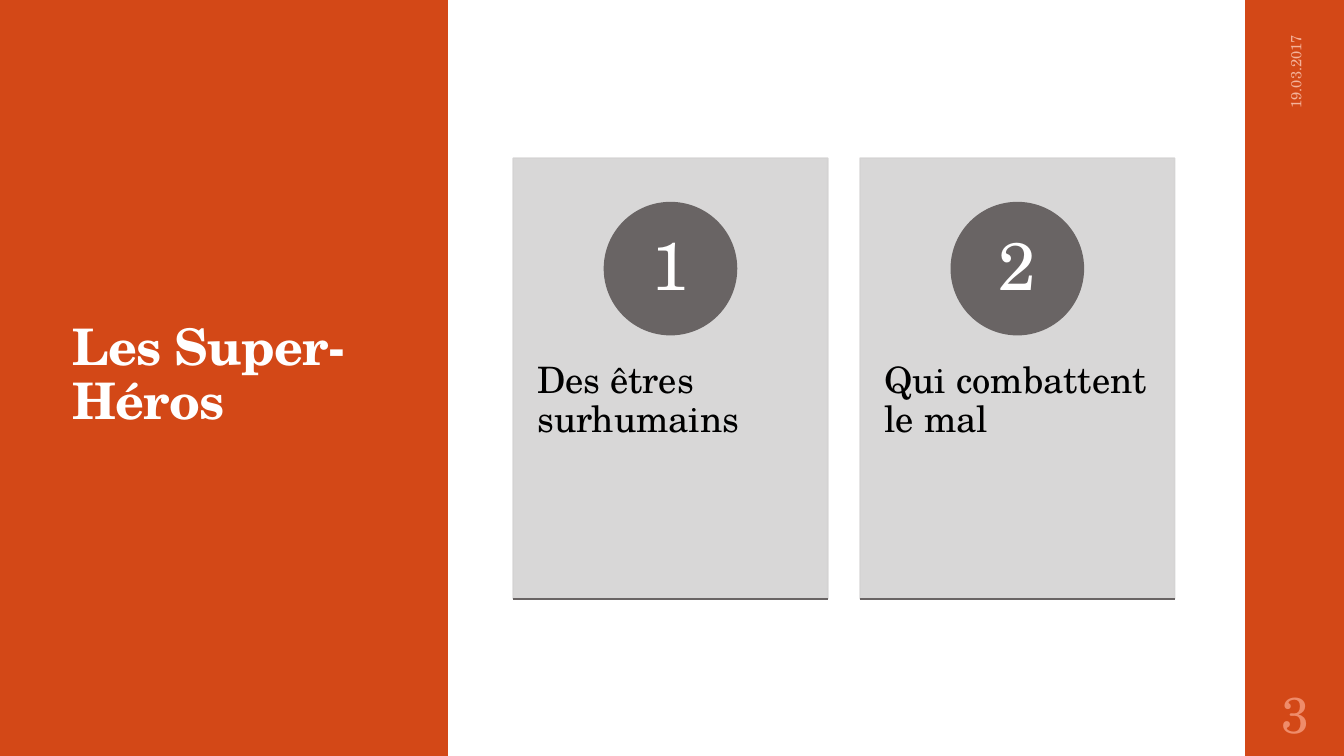
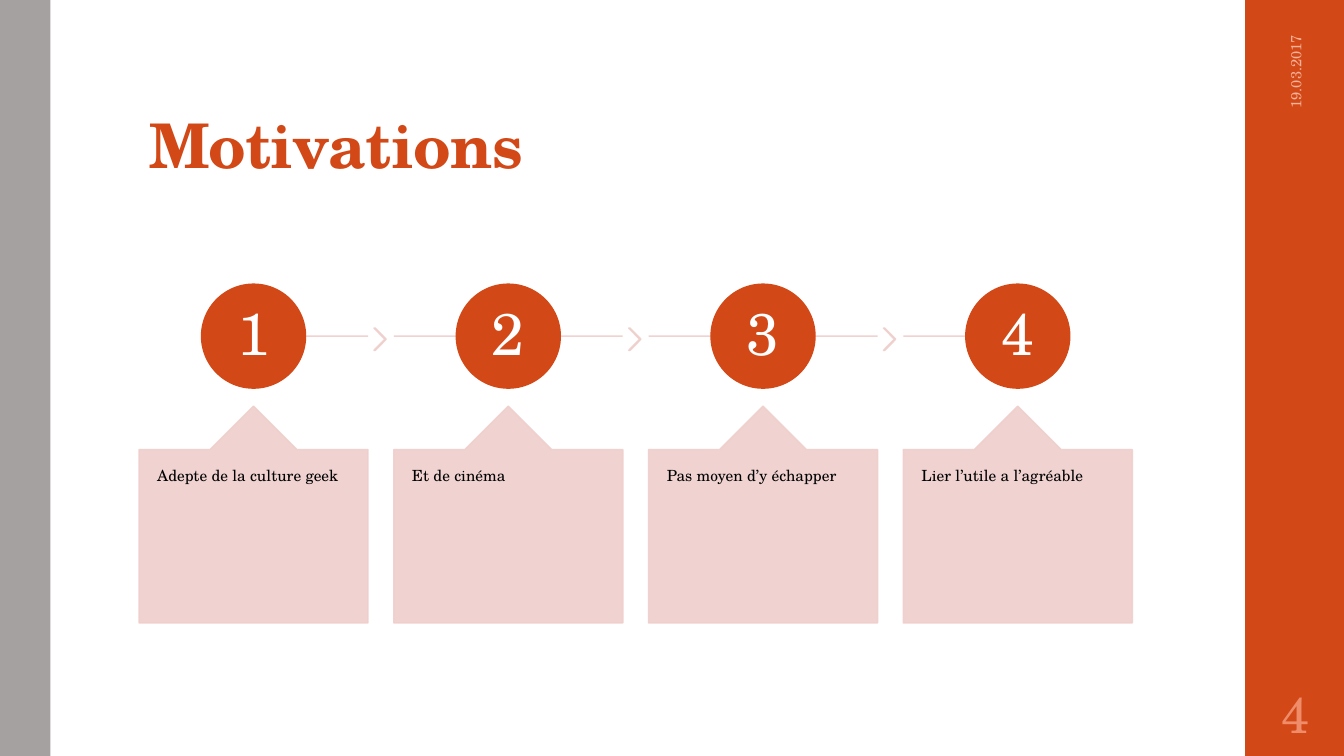
from lxml import etree
from pptx import Presentation
from pptx.dml.color import RGBColor
from pptx.enum.shapes import MSO_CONNECTOR as Connector, MSO_SHAPE as Preset
from pptx.enum.text import MSO_ANCHOR as Anchor, MSO_AUTO_SIZE as AutoSize, PP_ALIGN as Align
from pptx.oxml.ns import qn
from pptx.util import Inches, Pt

WIDTH, HEIGHT = 13.33, 7.5
FONT = "TeX Gyre Schola"
COLORS = {
    "accent": "D34817", "band": "A6A1A1", "card": "D4D3D3", "dark": "696464",
    "step": "EFCFCC", "text": "000000", "white": "FFFFFF",
    "date": "F4B39B", "number": "EF8C6A",
}
SIDE_BAND = (12.35, 0, WIDTH - 12.35, HEIGHT)
TITLE_INSETS = (0.1, 0.03, 0.1, 0.05)
DATE = "19.03.2017"


def rgb(name):
    """Return the named colour."""
    return RGBColor.from_string(COLORS[name])


def fade(shape, opacity):
    """Make every solid colour of a shape partly transparent."""
    for color in shape._element.spPr.iter(qn("a:srgbClr")):
        etree.SubElement(color, qn("a:alpha")).set("val", str(int(opacity * 100000)))


def add_block(page, preset, box, color, opacity=1, outlined=True):
    """Draw a filled preset shape in the given box."""
    shape = page.shapes.add_shape(preset, *map(Inches, box))
    shape.shadow.inherit = False
    shape.fill.solid()
    shape.fill.fore_color.rgb = rgb(color)
    if outlined:
        shape.line.color.rgb = rgb(color)
        shape.line.width = Pt(1.1)
    else:
        shape.line.fill.background()
    if opacity < 1:
        fade(shape, opacity)
    return shape


def add_rule(page, left, right, top, color, opacity=1):
    """Draw a thin horizontal line."""
    rule = page.shapes.add_connector(
        Connector.STRAIGHT, *map(Inches, (left, top, right, top)))
    rule.line.color.rgb = rgb(color)
    rule.line.width = Pt(1.1)
    etree.SubElement(rule._element.spPr, qn("a:effectLst"))
    if opacity < 1:
        fade(rule, opacity)


def write(shape, text, size, color, align=Align.LEFT, anchor=Anchor.TOP,
          insets=(0, 0, 0, 0), spacing=0.9, bold=False):
    """Write one formatted paragraph into a shape."""
    frame = shape.text_frame
    sides = zip(("left", "top", "right", "bottom"), map(Inches, insets))
    layout = {f"margin_{side}": inset for side, inset in sides}
    layout |= {"word_wrap": True, "auto_size": AutoSize.NONE, "vertical_anchor": anchor}
    for name, value in layout.items():
        setattr(frame, name, value)
    para = frame.paragraphs[0]
    para.alignment, para.line_spacing = align, spacing
    span = para.add_run()
    span.text = text
    for name, value in {"name": FONT, "size": Pt(size), "bold": bold}.items():
        setattr(span.font, name, value)
    span.font.color.rgb = rgb(color)
    return span


def add_title(page, text, box, size, color, anchor):
    """Place the title placeholder above the shapes drawn so far."""
    title = page.shapes.title
    title.left, title.top, title.width, title.height = map(Inches, box)
    span = write(title, text, size, color, anchor=anchor, insets=TITLE_INSETS, bold=True)
    span.font._element.set("spc", "-50")
    page.shapes._spTree.append(title._element)


def add_bands(page):
    """Draw the grey and orange bands at the slide's edges."""
    add_block(page, Preset.RECTANGLE, (0, 0, 0.5, HEIGHT), "band", outlined=False)
    add_block(page, Preset.RECTANGLE, SIDE_BAND, "accent", outlined=False)


def add_footer(page, number):
    """Write the upright date and the slide number on the right band."""
    date = page.shapes.add_textbox(*map(Inches, (11.81, 1.09, 2.08, 0.4)))
    date.rotation = 270
    write(date, DATE, 10.5, "date", Align.RIGHT, Anchor.MIDDLE,
          (0.1, 0.05, 0.1, 0.05), spacing=1)
    label = page.shapes.add_textbox(*map(Inches, (SIDE_BAND[0], 6.75, 1, 0.65)))
    write(label, str(number), 36, "number", Align.CENTER, Anchor.MIDDLE,
          (0.05,) * 4, spacing=1)


def add_badge(page, center, top, size, number, font_size, color):
    """Draw a numbered circle around a centre line."""
    badge = add_block(page, Preset.OVAL, (center - size / 2, top, size, size), color)
    write(badge, str(number), font_size, "white", Align.CENTER, Anchor.MIDDLE)


def columns(box, count, width):
    """Return the left edges of equally spaced columns."""
    pitch = (box[2] - width) / (count - 1)
    return [box[0] + index * pitch for index in range(count)]


def add_cards(page, box, texts, width=3.12):
    """Draw a row of numbered cards, each underlined."""
    top, height = box[1], box[3]
    for number, (left, text) in enumerate(zip(columns(box, len(texts), width), texts), 1):
        card = add_block(page, Preset.RECTANGLE, (left, top, width, height), "card", 0.9)
        write(card, text, 26, "text", insets=(0.24, 2.02, 0.24, 0.36))
        add_badge(page, left + width / 2, top + 0.44, 1.31, number, 48, "dark")
        add_rule(page, left, left + width, top + height, "dark")


def add_steps(page, box, texts, width=2.27, badge=1.03, callout=2.15):
    """Draw numbered steps on a chevron line, with a callout below each."""
    top, bottom = box[1], box[1] + box[3]
    middle = top + badge / 2
    for number, (left, text) in enumerate(zip(columns(box, len(texts), width), texts), 1):
        center, right = left + width / 2, left + width
        last = number == len(texts)
        add_rule(page, center if number == 1 else left, center if last else right,
                 middle, "step", 0.9)
        if not last:
            chevron = add_block(page, Preset.CHEVRON,
                                (right + 0.06, middle - 0.08, 0.12, 0.22), "step", 0.9)
            chevron.adjustments[0] = 0.9
        add_badge(page, center, top, badge, number, 42, "accent")
        note = add_block(page, Preset.UP_ARROW_CALLOUT,
                         (left, bottom - callout, width, callout), "step", 0.9)
        for index, value in enumerate((0.5, 0.2, 0.2, 1)):
            note.adjustments[index] = value
        write(note, text, 11, "text", insets=(0.18,) * 4)


def build_heroes(page):
    """Build the slide with a title panel and two cards."""
    add_bands(page)
    add_block(page, Preset.RECTANGLE, (0, 0, WIDTH / 3, HEIGHT), "accent", outlined=False)
    add_title(page, "Les Super-Héros", (0.62, 0.91, 2.97, 5.67), 36, "white", Anchor.MIDDLE)
    add_cards(page, (5.09, 1.57, 6.56, 4.37),
              ["Des êtres surhumains", "Qui combattent le mal"])
    add_footer(page, 3)


def build_motivations(page):
    """Build the slide with four steps."""
    add_bands(page)
    add_title(page, "Motivations", (1.38, 0.32, 10.6, 1.53), 44, "accent", Anchor.BOTTOM)
    add_steps(page, (1.38, 2.82, 9.85, 3.36),
              ["Adepte de la culture geek", "Et de cinéma",
               "Pas moyen d’y échapper", "Lier l’utile a l’agréable"])
    add_footer(page, 4)


def main():
    """Build and save the deck."""
    deck = Presentation()
    deck.slide_width, deck.slide_height = Inches(WIDTH), Inches(HEIGHT)
    for build in (build_heroes, build_motivations):
        build(deck.slides.add_slide(deck.slide_layouts[5]))
    deck.save("out.pptx")


if __name__ == "__main__":
    main()
